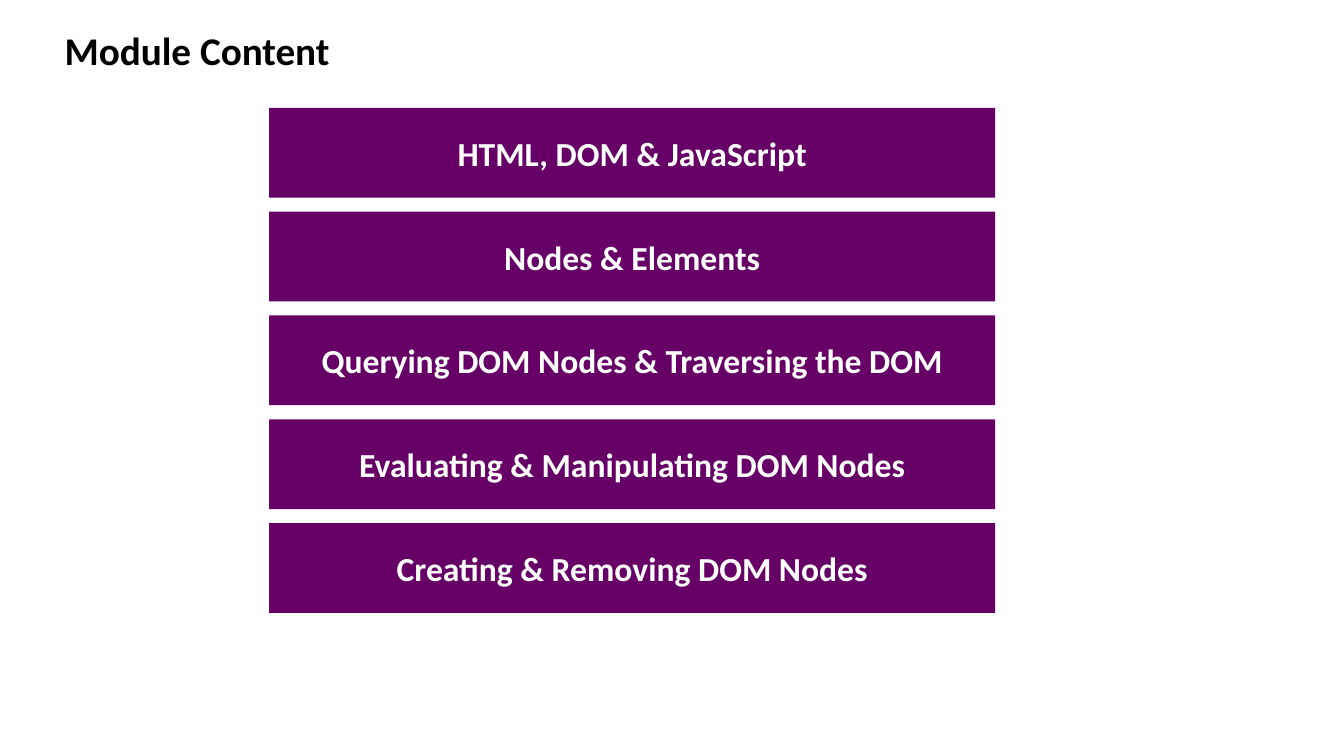
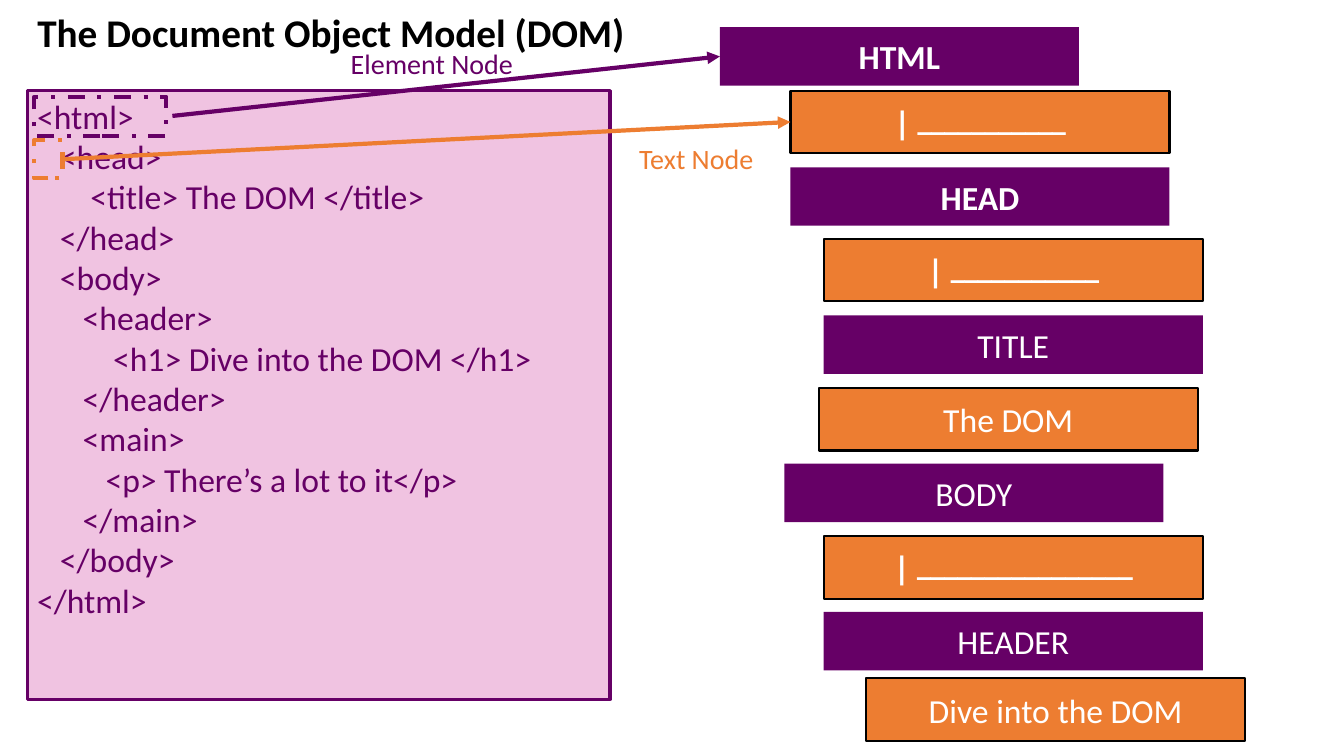
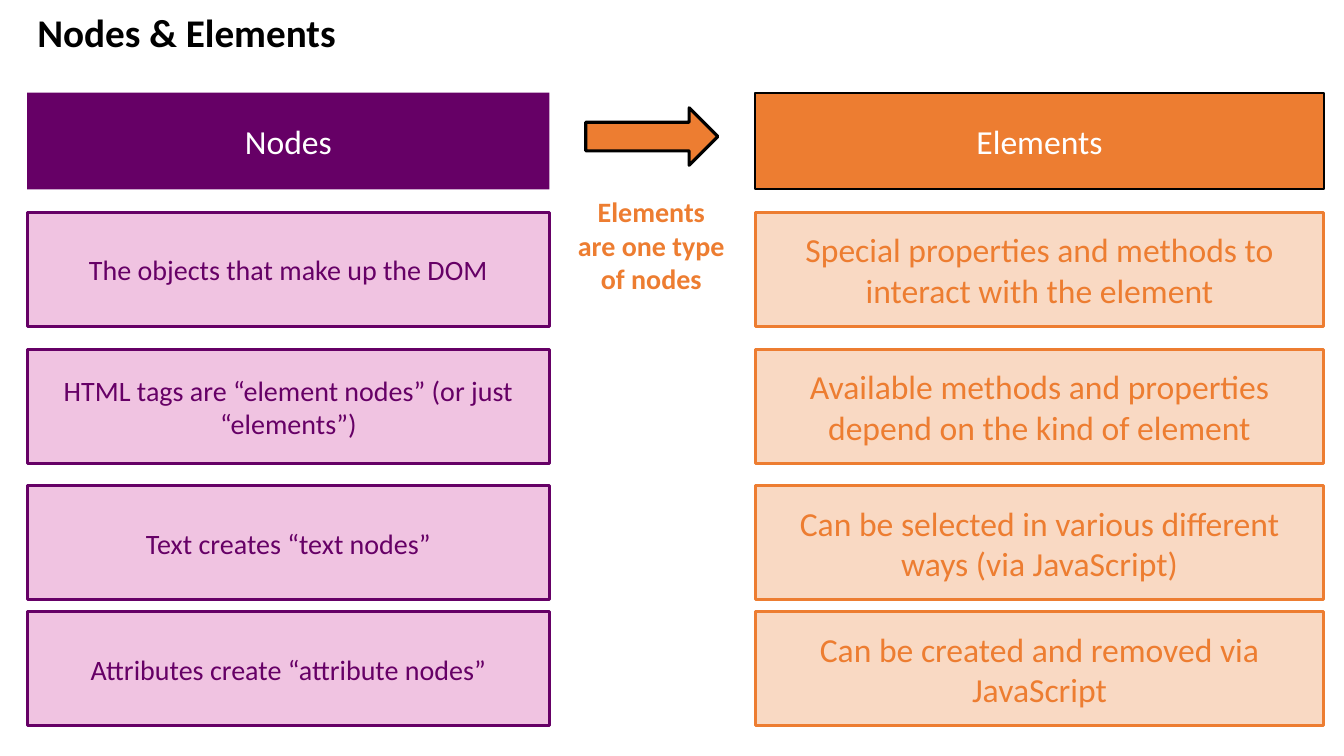
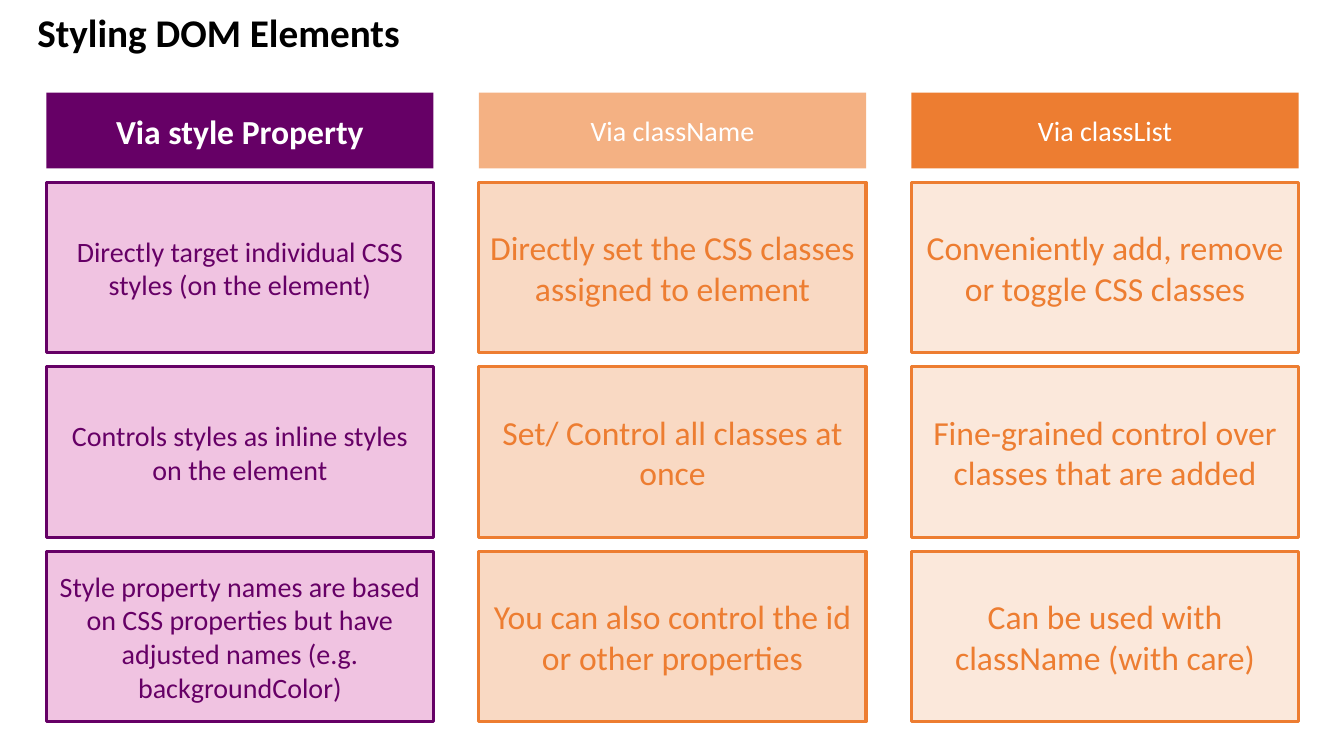
import dataclasses

import lxml.etree
import pptx
import pptx.dml.color
import pptx.enum.dml
import pptx.enum.shapes
import pptx.enum.text
import pptx.oxml.ns
import pptx.util

Inches = pptx.util.Inches
Pt = pptx.util.Pt
RGB = pptx.dml.color.RGBColor.from_string
SHAPE = pptx.enum.shapes.MSO_SHAPE
ALIGN = pptx.enum.text.PP_ALIGN
ANCHOR = pptx.enum.text.MSO_ANCHOR
qn = pptx.oxml.ns.qn


@dataclasses.dataclass(frozen=True)
class Theme:
    font: str = "Calibri"
    purple: str = "660066"
    pink: str = "CC3399"
    orange: str = "ED7D31"
    peach: str = "F4B183"
    black: str = "000000"
    white: str = "FFFFFF"
    title: int = 28
    large: int = 24
    small: int = 20
    tint: int = 29  # opacity of pale boxes, in percent


T = Theme()


def set_text(sp, text, size, color, bold=False, align=ALIGN.CENTER, anchor=ANCHOR.MIDDLE):
    tf = sp.text_frame
    tf.word_wrap = True
    tf.vertical_anchor = anchor
    tf.text = text
    for p in tf.paragraphs:
        p.alignment = align
        p.font.name = T.font
        p.font.size = Pt(size)
        p.font.bold = bold
        p.font.color.rgb = RGB(color)


def add_box(s, at, fill=None, line=None, width=2.25, opacity=100, kind=SHAPE.RECTANGLE):
    """Add a shape; without a fill or line colour that part is left out."""
    sp = s.shapes.add_shape(kind, *map(Inches, at))
    sp.shadow.inherit = False
    if fill:
        sp.fill.solid()
        sp.fill.fore_color.rgb = RGB(fill)
        if opacity < 100:
            clr = sp.fill._xPr.find(qn("a:solidFill"))[0]
            lxml.etree.SubElement(clr, qn("a:alpha")).set("val", str(opacity * 1000))
    else:
        sp.fill.background()
    if line:
        sp.line.color.rgb = RGB(line)
        sp.line.width = Pt(width)
    else:
        sp.line.fill.background()
    return sp


prs = pptx.Presentation()
prs.slide_width = Inches(13.33)
prs.slide_height = Inches(7.5)

# Titles
titles = [
    ("Module Content", 0.54, 0.21),
    ("The Document Object Model (DOM)", 0.27, 0.03),
    ("Nodes & Elements", 0.27, 0.03),
    ("Styling DOM Elements", 0.27, 0.03),
]
for text, left, top in titles:
    title = prs.slides.add_slide(prs.slide_layouts[5]).shapes.title
    title.left, title.top = Inches(left), Inches(top)
    title.width, title.height = Inches(6.57), Inches(0.57)
    set_text(title, text, T.title, T.black, True, ALIGN.LEFT, ANCHOR.TOP)
content, dom, nodes, styling = prs.slides

# Module content
topics = [
    "HTML, DOM & JavaScript",
    "Nodes & Elements",
    "Querying DOM Nodes & Traversing the DOM",
    "Evaluating & Manipulating DOM Nodes",
    "Creating & Removing DOM Nodes",
]
for i, topic in enumerate(topics):
    sp = add_box(content, (2.67, 1.07 + 1.03 * i, 7.2, 0.89), T.purple)
    set_text(sp, topic, T.large, T.white, True)

# Document object model: markup on the left, its nodes on the right
markup = """<html>
   <head>
       <title> The DOM </title>
   </head>
   <body>
      <header>
          <h1> Dive into the DOM </h1>
      </header>
      <main>
         <p> There’s a lot to it</p>
      </main>
   </body>
</html>"""
sp = add_box(dom, (0.27, 0.9, 5.78, 6.04), T.pink, T.purple, opacity=T.tint)
set_text(sp, markup, T.large, T.purple, align=ALIGN.LEFT, anchor=ANCHOR.TOP)

element_nodes = [
    ("HTML", 7.14, 0.27, 3.56, True),
    ("HEAD", 7.84, 1.66, 3.76, True),
    ("TITLE", 8.17, 3.13, 3.76, False),
    ("BODY", 7.78, 4.6, 3.76, False),
    ("HEADER", 8.17, 6.07, 3.76, False),
]
text_nodes = [
    ("| ـــــــــــ", 7.84, 0.9, True),
    ("| ـــــــــــ", 8.17, 2.37, True),
    ("The DOM", 8.12, 3.85, False),
    ("| ــــــــــــــــ", 8.17, 5.32, True),
    ("Dive into the DOM", 8.59, 6.73, False),
]
element_boxes, text_boxes = [], []
for text, left, top, width, bold in element_nodes:
    sp = add_box(dom, (left, top, width, 0.58), T.purple)
    set_text(sp, text, T.large, T.white, bold)
    element_boxes.append(sp)
for text, left, top, bold in text_nodes:
    sp = add_box(dom, (left, top, 3.76, 0.62), T.orange, T.black, 1.5)
    set_text(sp, text, T.large, T.white, bold)
    text_boxes.append(sp)

tag_frame = add_box(dom, (0.34, 0.96, 1.31, 0.39), None, T.purple, 3)
space_frame = add_box(dom, (0.34, 1.39, 0.28, 0.38), None, T.orange, 3)
for frame in (tag_frame, space_frame):
    frame.line.dash_style = pptx.enum.dml.MSO_LINE.DASH_DOT

arrows = [
    (None, element_boxes[0], T.purple),
    (space_frame, text_boxes[0], T.orange),
]
for source, target, color in arrows:
    cx = dom.shapes.add_connector(
        pptx.enum.shapes.MSO_CONNECTOR.STRAIGHT, Inches(1.71), Inches(1.15), 0, 0)
    if source:
        cx.begin_connect(source, 3)
    cx.end_connect(target, 1)
    cx.line.color.rgb = RGB(color)
    cx.line.width = Pt(3)
    lxml.etree.SubElement(cx.line._get_or_add_ln(), qn("a:tailEnd")).set("type", "triangle")
    lxml.etree.SubElement(cx._element.spPr, qn("a:effectLst"))

# Nodes and elements
header = add_box(nodes, (0.27, 0.92, 5.18, 0.96), T.purple)
set_text(header, "Nodes", T.large, T.white)
header = add_box(nodes, (7.49, 0.92, 5.64, 0.96), T.orange, T.black, 1.5)
set_text(header, "Elements", T.large, T.white)
add_box(nodes, (5.81, 1.07, 1.31, 0.57), T.orange, T.black, kind=SHAPE.RIGHT_ARROW)

facts = [
    (2.11, "The objects that make up the DOM",
     "Special properties and methods to interact with the element"),
    (3.47, "HTML tags are “element nodes” (or just “elements”)",
     "Available methods and properties depend on the kind of element"),
    (4.82, "Text creates “text nodes”",
     "Can be selected in various different ways (via JavaScript)"),
    (6.07, "Attributes create “attribute nodes”",
     "Can be created and removed via JavaScript"),
]
for top, node_fact, element_fact in facts:
    sp = add_box(nodes, (0.27, top, 5.18, 1.13), T.pink, T.purple, opacity=T.tint)
    set_text(sp, node_fact, T.small, T.purple)
    sp = add_box(nodes, (7.49, top, 5.64, 1.13), T.orange, T.orange, opacity=T.tint)
    set_text(sp, element_fact, T.large, T.orange)

# Styling: header text, size, bold, fill; body fill, colour, size; body texts
columns = [
    ("Via style Property", T.large, True, T.purple, T.pink, T.purple, T.small, [
        "Directly target individual CSS styles (on the element)",
        "Controls styles as inline styles on the element",
        "Style property names are based on CSS properties but have adjusted names "
        "(e.g. backgroundColor)",
    ]),
    ("Via className", T.small, False, T.peach, T.orange, T.orange, T.large, [
        "Directly set the CSS classes assigned to element",
        "Set/ Control all classes at once",
        "You can also control the id or other properties",
    ]),
    ("Via classList", T.small, False, T.orange, T.peach, T.orange, T.large, [
        "Conveniently add, remove or toggle CSS classes",
        "Fine-grained control over classes that are added",
        "Can be used with className (with care)",
    ]),
]
for i, (head, head_size, bold, head_fill, fill, color, size, texts) in enumerate(columns):
    left = 0.46 + 4.29 * i
    sp = add_box(styling, (left, 0.92, 3.84, 0.75), head_fill)
    set_text(sp, head, head_size, T.white, bold)
    for j, text in enumerate(texts):
        sp = add_box(styling, (left, 1.81 + 1.83 * j, 3.84, 1.69), fill, color, opacity=T.tint)
        set_text(sp, text, size, color)

# Free labels
labels = [
    (dom, (3.38, 0.41, 2.41, 0.44), "Element Node", T.purple, False, ALIGN.LEFT),
    (dom, (6.24, 1.35, 1.35, 0.44), "Text Node", T.orange, False, ALIGN.LEFT),
    (nodes, (5.63, 1.88, 1.66, 1.11), "Elements are one type of nodes", T.orange, True,
     ALIGN.CENTER),
]
for s, at, text, color, bold, align in labels:
    sp = s.shapes.add_textbox(*map(Inches, at))
    set_text(sp, text, T.small, color, bold, align, ANCHOR.TOP)

prs.save("out.pptx")
